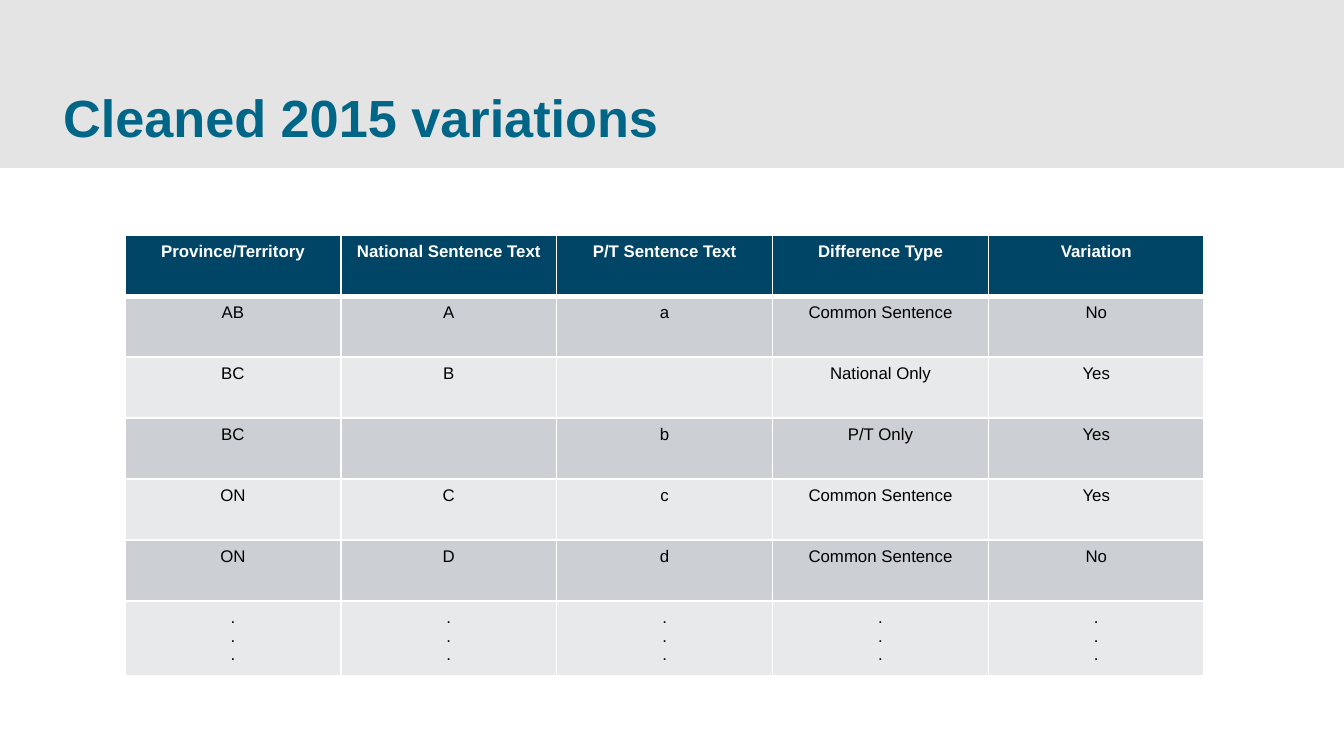
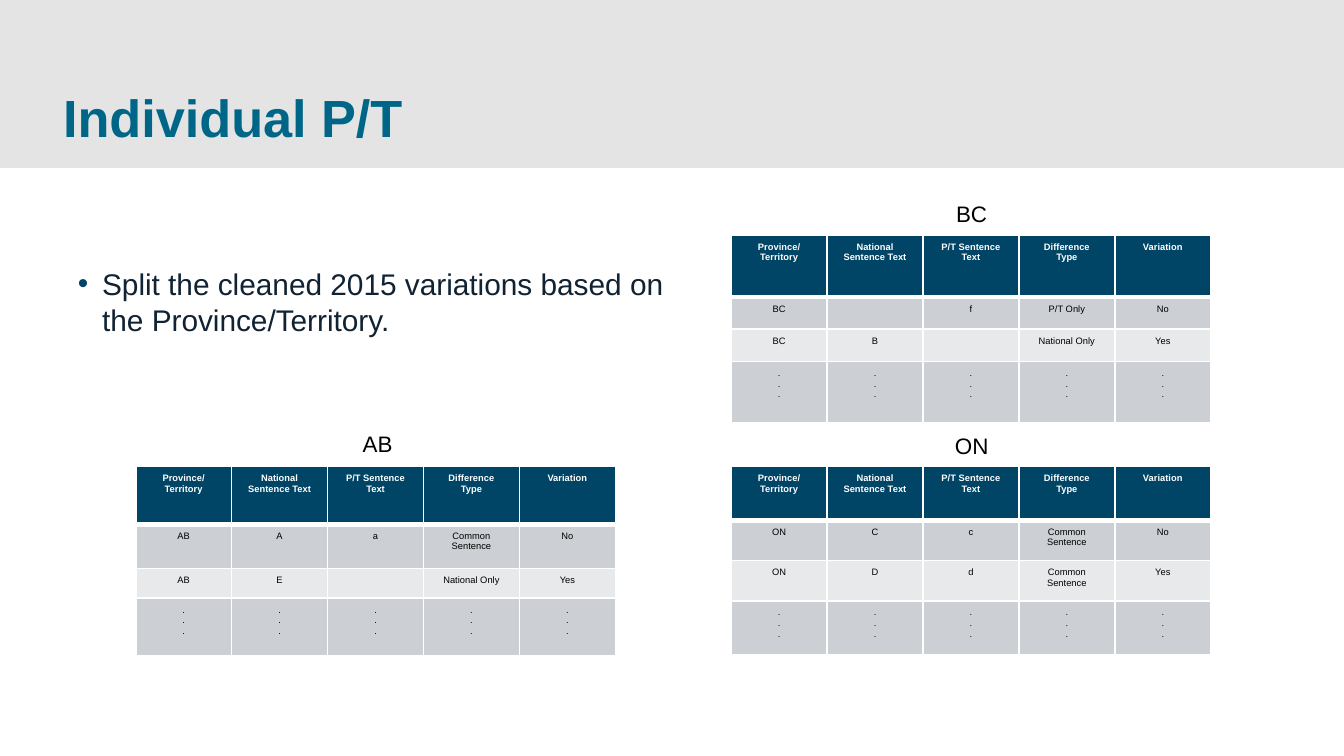
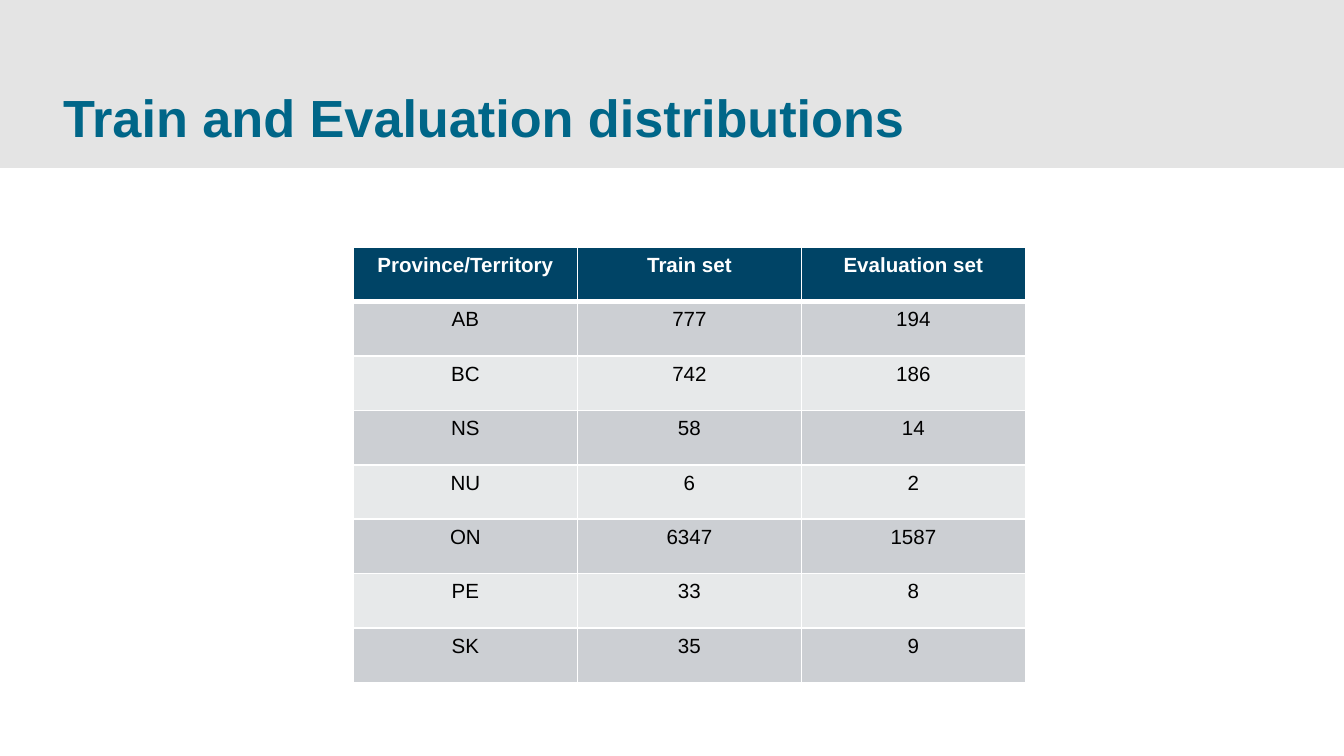
import pptx
import pptx.dml.color
import pptx.enum.shapes
import pptx.enum.text
import pptx.oxml.ns
import pptx.util
from lxml import etree

Inches = pptx.util.Inches
Pt = pptx.util.Pt
qn = pptx.oxml.ns.qn
ALIGN = pptx.enum.text.PP_ALIGN
ANCHOR = pptx.enum.text.MSO_ANCHOR

FONT = "Arial"
BAND, TITLE, HEADER = "E4E4E4", "006688", "004466"
STRIPES = ("CCCFD3", "E7E9EA")
WHITE, BLACK, BODY = "FFFFFF", "000000", "112233"
NO_INSETS = {"margin_left": 0, "margin_top": 0, "margin_right": 0, "margin_bottom": 0}

VARIATION_HEADER = ["Province/Territory", "National Sentence Text", "P/T Sentence Text",
                    "Difference Type", "Variation"]
ELLIPSIS = [".\n.\n."] * len(VARIATION_HEADER)
CLEANED_VARIATIONS = [
    VARIATION_HEADER,
    ["AB", "A", "a", "Common Sentence", "No"],
    ["BC", "B", "", "National Only", "Yes"],
    ["BC", "", "b", "P/T Only", "Yes"],
    ["ON", "C", "c", "Common Sentence", "Yes"],
    ["ON", "D", "d", "Common Sentence", "No"],
    ELLIPSIS,
]
PROVINCES = [
    ("AB", (1.61, 3.15), (1.01, 3.47), [0.43, 0.33, 0.22, 0.43],
     [["AB", "A", "a", "Common Sentence", "No"],
      ["AB", "E", "", "National Only", "Yes"]]),
    ("BC", (6.03, 1.44), (5.44, 1.75), [0.46, 0.24, 0.24, 0.46],
     [["BC", "", "f", "P/T Only", "No"],
      ["BC", "B", "", "National Only", "Yes"]]),
    ("ON", (6.03, 3.17), (5.44, 3.47), [0.4, 0.3, 0.3, 0.4],
     [["ON", "C", "c", "Common Sentence", "No"],
      ["ON", "D", "d", "Common Sentence", "Yes"]]),
]
DISTRIBUTIONS = [
    ["Province/Territory", "Train set", "Evaluation set"],
    ["AB", "777", "194"],
    ["BC", "742", "186"],
    ["NS", "58", "14"],
    ["NU", "6", "2"],
    ["ON", "6347", "1587"],
    ["PE", "33", "8"],
    ["SK", "35", "9"],
]


def rgb(value):
    """Turn a hex string into a colour."""
    return pptx.dml.color.RGBColor.from_string(value)


def apply(target, formats):
    """Set each format value on the target."""
    for name, value in formats.items():
        setattr(target, name, value)


def equal_heights(total, rows):
    """Share a total height equally between rows."""
    return [total / len(rows)] * len(rows)


def write(frame, text, size, color, bold=False, align=ALIGN.LEFT):
    """Fill a text frame with one paragraph per line of text."""
    frame.text = text
    for paragraph in frame.paragraphs:
        paragraph.alignment = align
        for run in paragraph.runs:
            apply(run.font, {"name": FONT, "size": Pt(size), "bold": bold})
            run.font.color.rgb = rgb(color)
        if not paragraph.runs:
            etree.SubElement(paragraph._p, qn("a:endParaRPr"), sz=str(size * 100))


def add_text(slide, box, text, size, color, formats, bold=False, align=ALIGN.LEFT):
    """Add a wrapped text box and return its frame."""
    frame = slide.shapes.add_textbox(*map(Inches, box)).text_frame
    apply(frame, {"word_wrap": True, **formats})
    write(frame, text, size, color, bold, align)
    return frame


def add_titled_slide(deck, title):
    """Add a slide with the grey band and its title."""
    slide = deck.slides.add_slide(deck.slide_layouts[6])
    band = slide.shapes.add_shape(pptx.enum.shapes.MSO_SHAPE.RECTANGLE, 0, 0,
                                  deck.slide_width, Inches(1.25))
    band.shadow.inherit = False
    band.fill.solid()
    band.fill.fore_color.rgb = rgb(BAND)
    band.line.fill.background()
    add_text(slide, (0.47, 0.28, 8.95, 0.82), title, 28, TITLE,
             {**NO_INSETS, "vertical_anchor": ANCHOR.BOTTOM}, bold=True)
    return slide


def add_borders(cell, widths):
    """Draw white cell borders of the given widths in points."""
    properties = cell._tc.get_or_add_tcPr()
    for side, width in widths.items():
        border = etree.SubElement(properties, qn(f"a:ln{side}"), w=str(Pt(width)))
        fill = etree.SubElement(border, qn("a:solidFill"))
        etree.SubElement(fill, qn("a:srgbClr"), val=WHITE)


def add_striped_table(slide, origin, width, heights, rows, size):
    """Add a table with a dark header and alternating row fills."""
    left, top = origin
    columns = len(rows[0])
    table = slide.shapes.add_table(len(rows), columns, Inches(left), Inches(top),
                                   Inches(width), Inches(sum(heights))).table
    for column in table.columns:
        column.width = Inches(width / columns)
    for index, (values, height) in enumerate(zip(rows, heights)):
        table.rows[index].height = Inches(height)
        is_header = index == 0
        background = HEADER if is_header else STRIPES[(index - 1) % 2]
        for cell, value in zip(table.rows[index].cells, values):
            write(cell.text_frame, value, size, WHITE if is_header else BLACK,
                  is_header, ALIGN.CENTER)
            add_borders(cell, {"L": 1, "R": 1, "T": 3 if index == 1 else 1,
                               "B": 3 if is_header else 1})
            cell.fill.solid()
            cell.fill.fore_color.rgb = rgb(background)


def add_bullet(slide, box, text):
    """Add the bulleted statement."""
    frame = add_text(slide, box, text, 16, BODY, {**NO_INSETS, "margin_top": Inches(0.54)})
    properties = frame.paragraphs[0]._p.get_or_add_pPr()
    properties.set("marL", str(Inches(0.39)))
    properties.set("indent", str(Inches(-0.18)))
    color = etree.SubElement(properties, qn("a:buClr"))
    etree.SubElement(color, qn("a:srgbClr"), val=HEADER)
    etree.SubElement(properties, qn("a:buFont"), typeface=FONT)
    etree.SubElement(properties, qn("a:buChar"), char="•")


def add_province(slide, name, label_origin, table_origin, heights, rows):
    """Add one province's label and table."""
    add_text(slide, (*label_origin, 2.4, 0.3), name, 12, BLACK, {}, align=ALIGN.CENTER)
    add_striped_table(slide, table_origin, 3.57, heights,
                      [VARIATION_HEADER, *rows, ELLIPSIS], 5)


def main():
    """Build and save the deck."""
    deck = pptx.Presentation()
    apply(deck, {"slide_width": Inches(10), "slide_height": Inches(10 * 9 / 16)})

    cleaned = add_titled_slide(deck, "Cleaned 2015 variations")
    add_striped_table(cleaned, (0.93, 1.75), 8.03, equal_heights(3.18, CLEANED_VARIATIONS),
                      CLEANED_VARIATIONS, 9)

    individual = add_titled_slide(deck, "Individual P/T")
    add_bullet(individual, (0.37, 1.44, 4.77, 1.47),
               "Split the cleaned 2015 variations based on the Province/Territory.")
    for province in PROVINCES:
        add_province(individual, *province)

    distributions = add_titled_slide(deck, "Train and Evaluation distributions")
    add_striped_table(distributions, (2.63, 1.84), 5, equal_heights(3.24, DISTRIBUTIONS),
                      DISTRIBUTIONS, 11)
    deck.save("out.pptx")


if __name__ == "__main__":
    main()
